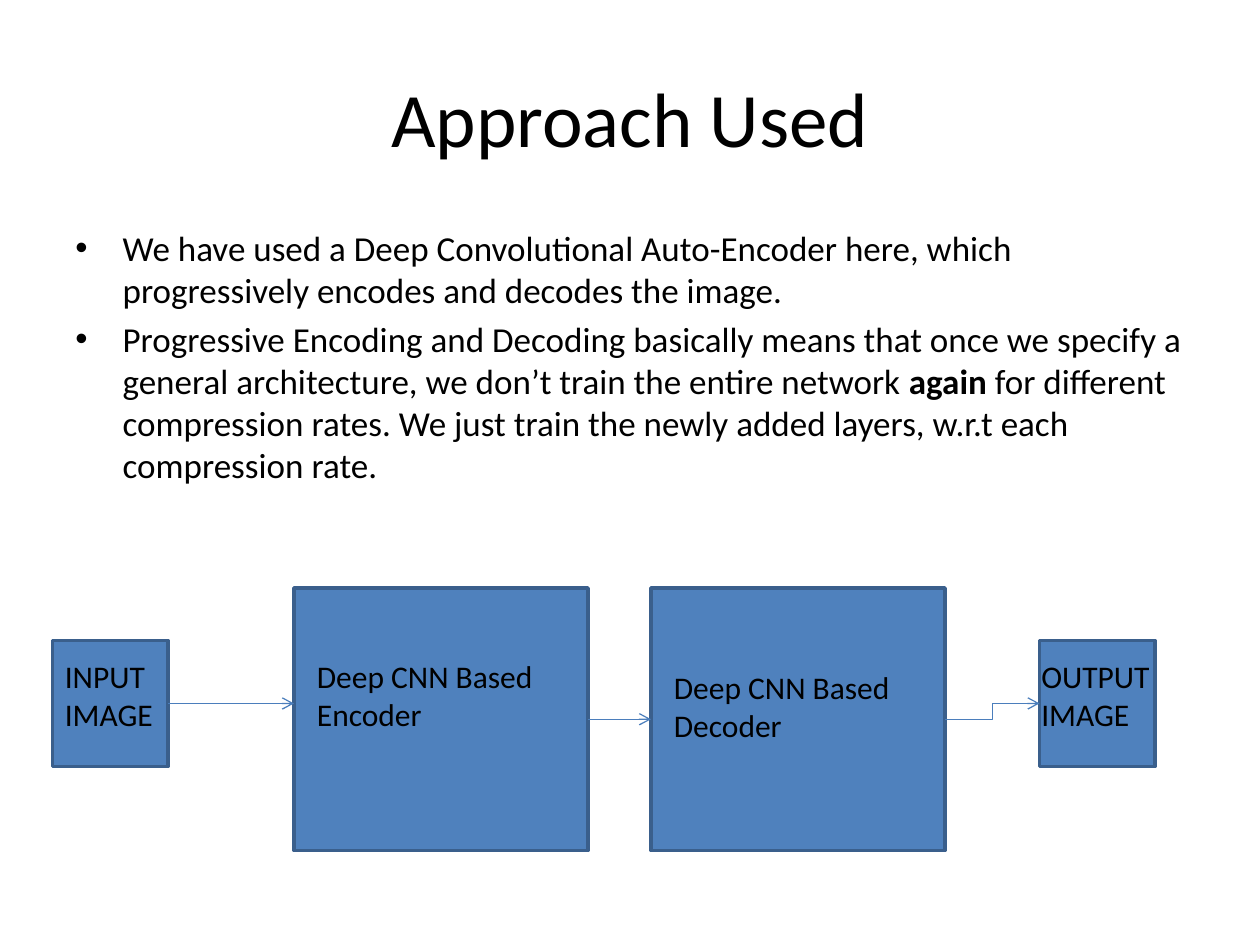
from lxml.etree import SubElement
from pptx import Presentation
from pptx.dml.color import RGBColor
from pptx.enum.shapes import MSO_CONNECTOR, MSO_SHAPE
from pptx.enum.text import MSO_ANCHOR, PP_ALIGN
from pptx.oxml.ns import qn
from pptx.util import Pt

COLORS = {"text": "000000", "box": "4F81BD", "border": "3A5F8C", "arrow": "4B7EBC"}

prs = Presentation()
prs.slide_width, prs.slide_height = Pt(720), Pt(540)
slide = prs.slides.add_slide(prs.slide_layouts[6])


def color(name):
    return RGBColor.from_string(COLORS[name])


def add_text(left, top, width, height, lines, size):
    """Add a text box with one paragraph per line and return its text frame."""
    frame = slide.shapes.add_textbox(Pt(left), Pt(top), Pt(width), Pt(height)).text_frame
    frame.word_wrap = True
    frame.text = "\n".join(lines)
    for paragraph in frame.paragraphs:
        paragraph.font.size = Pt(size)
        for run in paragraph.runs:
            run.font.size = Pt(size)
            run.font.name = "Calibri"
            run.font.color.rgb = color("text")
    return frame


# Title
title = add_text(36, 21.6, 648, 90, ["Approach Used"], 44)
title.vertical_anchor = MSO_ANCHOR.MIDDLE
title.paragraphs[0].alignment = PP_ALIGN.CENTER

# Bulleted explanation
explanation = add_text(36, 126, 648, 174, [
    "We have used a Deep Convolutional Auto-Encoder here, which progressively "
    "encodes and decodes the image.",
    "Progressive Encoding and Decoding basically means that once we specify a general "
    "architecture, we don’t train the entire network ",
], 20)
for bullet_point in explanation.paragraphs:
    bullet_point.space_before = Pt(4)
    properties = bullet_point._p.get_or_add_pPr()
    properties.set("marL", str(Pt(27)))
    properties.set("indent", str(-Pt(27)))
    SubElement(properties, qn("a:buFont")).set("typeface", "Arial")
    SubElement(properties, qn("a:buChar")).set("char", "•")
    # Keep default run properties after the bullet, as the schema requires
    properties.append(properties.find(qn("a:defRPr")))

rest = " for different compression rates. We just train the newly added layers, w.r.t each compression rate."
for wording, bold in (("again", True), (rest, False)):
    run = explanation.paragraphs[1].add_run()
    run.text = wording
    run.font.size = Pt(20)
    run.font.name = "Calibri"
    run.font.bold = bold
    run.font.color.rgb = color("text")

# Pipeline stages
stages = [
    (168, 336, 168, 150),  # encoder
    (30, 366, 66, 72),     # input image
    (372, 336, 168, 150),  # decoder
    (594, 366, 66, 72),    # output image
]
for left, top, width, height in stages:
    stage = slide.shapes.add_shape(
        MSO_SHAPE.RECTANGLE, Pt(left), Pt(top), Pt(width), Pt(height))
    stage.shadow.inherit = False
    stage.fill.solid()
    stage.fill.fore_color.rgb = color("box")
    stage.line.color.rgb = color("border")
    stage.line.width = Pt(2)

# Arrows between stages
flows = [
    (MSO_CONNECTOR.STRAIGHT, 96, 402, 168, 402),
    (MSO_CONNECTOR.STRAIGHT, 336, 411, 372, 411),
    (MSO_CONNECTOR.ELBOW, 540, 411, 594, 402),
]
for route, x1, y1, x2, y2 in flows:
    flow = slide.shapes.add_connector(route, Pt(x1), Pt(y1), Pt(x2), Pt(y2))
    flow.line.color.rgb = color("arrow")
    flow.line.width = Pt(0.75)
    SubElement(flow.line._get_or_add_ln(), qn("a:tailEnd")).set("type", "arrow")
    SubElement(flow._element.spPr, qn("a:effectLst"))

# Stage labels
labels = [
    (30, 372, 66, ["INPUT", "IMAGE"]),
    (174, 372, 156, ["Deep CNN Based", "Encoder"]),
    (378, 378, 156, ["Deep CNN Based", "Decoder"]),
    (588, 372, 78, ["OUTPUT", "IMAGE"]),
]
for left, top, width, lines in labels:
    add_text(left, top, width, 51, lines, 18)

prs.save("out.pptx")
